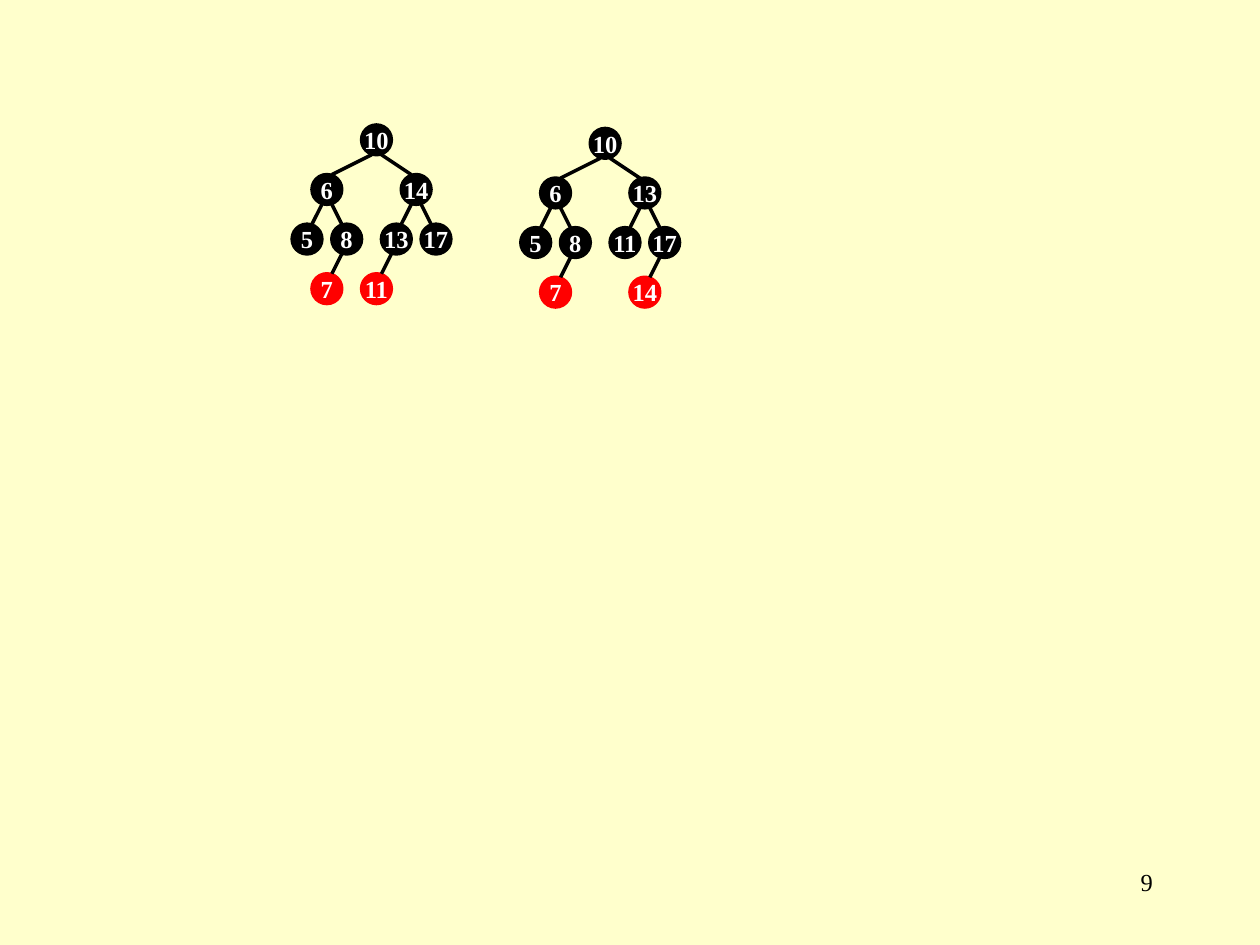
from typing import NamedTuple

from lxml import etree
from pptx import Presentation
from pptx import util as u
from pptx.dml.color import RGBColor
from pptx.enum import shapes, text
from pptx.oxml import ns

HUES = {"page": "FFFFCC", "black": "000000", "red": "FF0000", "white": "FFFFFF"}
FONT = "Times New Roman"
SIZE = 0.6  # node diameter, cm
STEP = 1.0  # distance between levels, cm
LEAN = 0.1  # edge ends lean towards each other, cm


class Node(NamedTuple):
    key: str
    x: float
    level: int
    up: int | None  # index of the parent
    hue: str = "black"


class Tree(NamedTuple):
    left: float
    top: float
    nodes: list[Node]


# Both trees share the root and the left branch
BASE = [
    Node("10", 1.4, 0, None),
    Node("6", 0.4, 1, 0),
    Node("5", 0, 2, 1),
    Node("8", 0.8, 2, 1),
    Node("7", 0.4, 3, 3, "red"),
]
TREES = [
    Tree(5.89, 2.52, BASE + [
        Node("14", 2.2, 1, 0),
        Node("13", 1.8, 2, 5),
        Node("17", 2.6, 2, 5),
        Node("11", 1.4, 3, 6, "red"),
    ]),
    Tree(10.5, 2.59, BASE + [
        Node("13", 2.2, 1, 0),
        Node("11", 1.8, 2, 5),
        Node("17", 2.6, 2, 5),
        Node("14", 2.2, 3, 7, "red"),
    ]),
]


def tint(hue: str) -> RGBColor:
    return RGBColor.from_string(HUES[hue])


def style(frame, words: str, align, hue: str, bold: bool = False) -> None:
    frame.text = words
    para = frame.paragraphs[0]
    para.alignment = align
    font = para.runs[0].font
    font.name, font.size, font.bold = FONT, u.Pt(14), bold
    font.color.rgb = tint(hue)


def draw_node(group, tree: Tree, node: Node) -> None:
    dot = group.shapes.add_shape(
        shapes.MSO_SHAPE.OVAL,
        u.Cm(tree.left + node.x), u.Cm(tree.top + node.level * STEP),
        u.Cm(SIZE), u.Cm(SIZE))
    dot.shadow.inherit = False
    dot.fill.solid()
    dot.fill.fore_color.rgb = dot.line.color.rgb = tint(node.hue)
    dot.line.width = u.Pt(2)
    frame = dot.text_frame
    frame.word_wrap = False
    frame.vertical_anchor = text.MSO_ANCHOR.MIDDLE
    style(frame, node.key, text.PP_ALIGN.CENTER, "white", True)


def draw_edge(group, tree: Tree, node: Node) -> None:
    head = tree.nodes[node.up]
    lean = LEAN if node.x > head.x else -LEAN
    mid = tree.left + SIZE / 2
    edge = group.shapes.add_connector(
        shapes.MSO_CONNECTOR.STRAIGHT,
        u.Cm(mid + head.x + lean), u.Cm(tree.top + head.level * STEP + SIZE),
        u.Cm(mid + node.x - lean), u.Cm(tree.top + node.level * STEP))
    edge.line.color.rgb = tint("black")
    edge.line.width = u.Pt(2)
    etree.SubElement(edge._element.spPr, ns.qn("a:effectLst"))


def draw_tree(slide, tree: Tree) -> None:
    group = slide.shapes.add_group_shape()
    for node in tree.nodes:
        draw_node(group, tree, node)
    for node in tree.nodes:
        if node.up is not None:
            draw_edge(group, tree, node)


def main() -> None:
    deck = Presentation()
    deck.slide_width, deck.slide_height = u.Cm(25.4), u.Cm(19.05)
    slide = deck.slides.add_slide(deck.slide_layouts[6])
    slide.background.fill.solid()
    slide.background.fill.fore_color.rgb = tint("page")

    # Page number
    box = slide.shapes.add_textbox(u.Cm(18.2), u.Cm(17.35), u.Cm(5.29), u.Cm(1.27))
    box.text_frame.word_wrap = True
    style(box.text_frame, "9", text.PP_ALIGN.RIGHT, "black")

    # Red-black trees
    for tree in TREES:
        draw_tree(slide, tree)

    deck.save("out.pptx")


if __name__ == "__main__":
    main()
